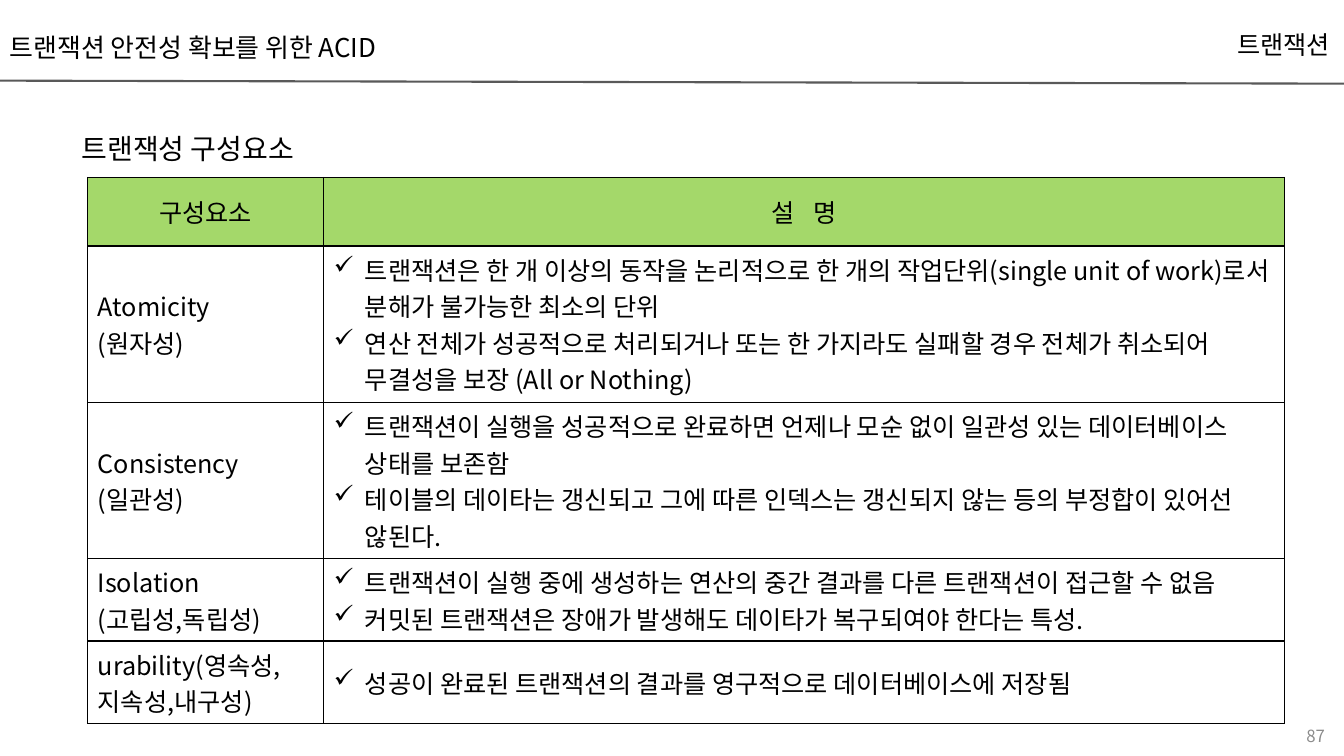
from lxml.etree import SubElement
from pptx import Presentation
from pptx.dml.color import RGBColor
from pptx.enum.shapes import MSO_CONNECTOR
from pptx.enum.text import MSO_ANCHOR, MSO_AUTO_SIZE, PP_ALIGN
from pptx.oxml.ns import qn
from pptx.util import Inches, Pt

BLACK = RGBColor(0x00, 0x00, 0x00)
GREY = RGBColor(0x8C, 0x8C, 0x8C)
RULE = RGBColor(0x59, 0x59, 0x59)
GREEN = RGBColor(0xA4, 0xD8, 0x6A)
FONT = "Noto Sans CJK KR"

HEADER = ["구성요소", "설 명"]
ROW_HEIGHTS = [0.68, 1.55, 1.55, 0.82, 0.82]
COMPONENTS = [
    (["Atomicity", "(원자성)"],
     ["트랜잭션은 한 개 이상의 동작을 논리적으로 한 개의 작업단위(single unit of work)로서 분해가 불가능한 최소의 단위",
      "연산 전체가 성공적으로 처리되거나 또는 한 가지라도 실패할 경우 전체가 취소되어 무결성을 보장 (All or Nothing)"]),
    (["Consistency", "(일관성)"],
     ["트랜잭션이 실행을 성공적으로 완료하면 언제나 모순 없이 일관성 있는 데이터베이스 상태를 보존함",
      "테이블의 데이타는 갱신되고 그에 따른 인덱스는 갱신되지 않는 등의 부정합이 있어선 않된다."]),
    (["Isolation", "(고립성,독립성)"],
     ["트랜잭션이 실행 중에 생성하는 연산의 중간 결과를 다른 트랜잭션이 접근할 수 없음",
      "커밋된 트랜잭션은 장애가 발생해도 데이타가 복구되여야 한다는 특성."]),
    (["urability(영속성,지속성,내구성)"],
     ["성공이 완료된 트랜잭션의 결과를 영구적으로 데이터베이스에 저장됨"]),
]


def write(frame, lines, size=18, color=BLACK, align=PP_ALIGN.LEFT,
          line_spacing=None, check=False, tracking=0):
    """Fill a text frame with one paragraph per line."""
    for index, line in enumerate(lines):
        paragraph = frame.add_paragraph() if index else frame.paragraphs[0]
        paragraph.alignment = align
        if line_spacing:
            paragraph.line_spacing = line_spacing
        run = paragraph.add_run()
        run.text = line
        run.font.size = Pt(size)
        run.font.color.rgb = color
        run.font.name = FONT
        if tracking:
            run._r.get_or_add_rPr().set("spc", str(tracking * 100))
        if check:
            layout = paragraph._p.get_or_add_pPr()
            layout.set("marL", str(Inches(0.31)))
            layout.set("indent", str(-Inches(0.31)))
            SubElement(layout, qn("a:buFont"), typeface="Wingdings", charset="2")
            SubElement(layout, qn("a:buChar"), char="ü")


class Page:
    """Holds the style and the current slide."""

    def __init__(self, slide):
        self.shapes = slide.shapes

    def text(self, left, top, width, height, line, anchor=MSO_ANCHOR.MIDDLE,
             grow=False, **style):
        """Add a wrapping text box."""
        frame = self.shapes.add_textbox(
            Inches(left), Inches(top), Inches(width), Inches(height)).text_frame
        frame.word_wrap = True
        frame.vertical_anchor = anchor
        if grow:
            frame.auto_size = MSO_AUTO_SIZE.SHAPE_TO_FIT_TEXT
        write(frame, [line], **style)

    def line(self, x1, y1, x2, y2):
        """Add a plain rule."""
        rule = self.shapes.add_connector(
            MSO_CONNECTOR.STRAIGHT, Inches(x1), Inches(y1), Inches(x2), Inches(y2))
        rule.line.color.rgb = RULE
        rule.line.width = Pt(1.5)
        SubElement(rule._element.spPr, qn("a:effectLst"))

    def table(self, left, top, widths, heights):
        """Add an empty table and return it."""
        table = self.shapes.add_table(
            len(heights), len(widths), Inches(left), Inches(top),
            Inches(sum(widths)), Inches(sum(heights))).table
        for column, width in zip(table.columns, widths):
            column.width = Inches(width)
        for row, height in zip(table.rows, heights):
            row.height = Inches(height)
        return table

    def cell(self, cell, lines, fill=None, **style):
        """Fill, border and write one table cell."""
        properties = cell._tc.get_or_add_tcPr()
        for side in ("lnL", "lnR", "lnT", "lnB"):
            border = SubElement(properties, qn(f"a:{side}"), w=str(Pt(1)))
            paint = SubElement(border, qn("a:solidFill"))
            SubElement(paint, qn("a:srgbClr"), val=str(BLACK))
        if fill is None:
            cell.fill.background()
        else:
            cell.fill.solid()
            cell.fill.fore_color.rgb = fill
        cell.vertical_anchor = MSO_ANCHOR.MIDDLE
        write(cell.text_frame, lines, **style)


presentation = Presentation()
presentation.slide_width = Inches(13.33)
presentation.slide_height = Inches(7.5)
page = Page(presentation.slides.add_slide(presentation.slide_layouts[6]))

page.line(0, 0.8, 13.33, 0.83)
page.text(9.5, 0.12, 3.79, 0.68, "트랜잭션", align=PP_ALIGN.RIGHT, line_spacing=0.9)
page.text(0, 0, 5.2, 0.68, "트랜잭션 안전성 확보를 위한 ACID", size=18.5, line_spacing=1.8)
page.text(10.24, 7.1, 3, 0.4, "87", size=12, color=GREY, align=PP_ALIGN.RIGHT)

acid = page.table(0.87, 1.76, [2.34, 9.53], ROW_HEIGHTS)
for column, (heading, tracking) in enumerate(zip(HEADER, (0, 5))):
    page.cell(acid.cell(0, column), [heading], fill=GREEN,
              align=PP_ALIGN.CENTER, tracking=tracking)
for row, (component, descriptions) in enumerate(COMPONENTS, 1):
    page.cell(acid.cell(row, 0), component)
    page.cell(acid.cell(row, 1), descriptions, check=True)

page.text(0.71, 1.26, 12.18, 0.44, "트랜잭성 구성요소", size=20,
          anchor=MSO_ANCHOR.TOP, grow=True)

presentation.save("out.pptx")
